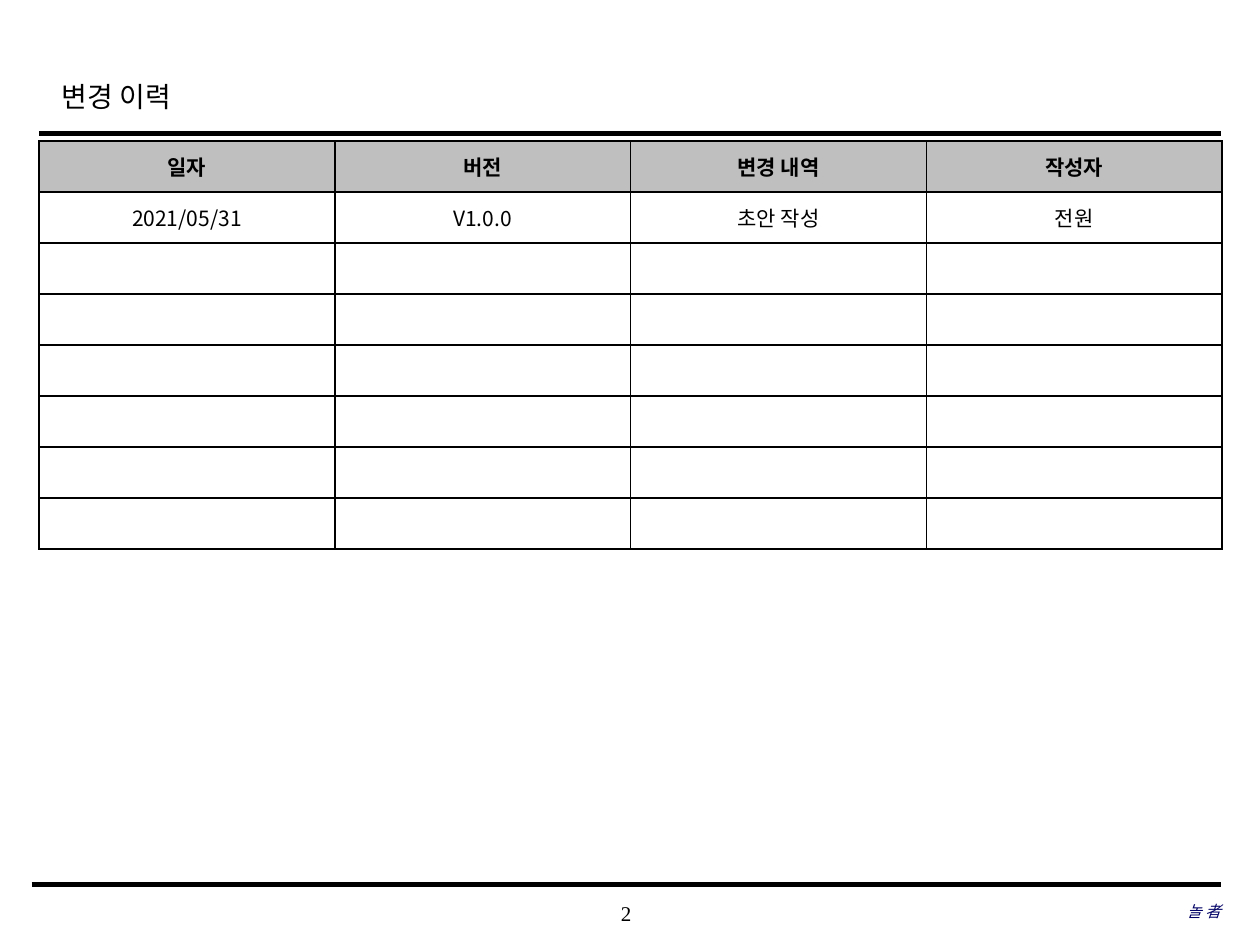
"""Build the change history slide."""
import pptx
import pptx.util
import pptx.dml.color
import pptx.enum.shapes
import pptx.enum.text
import pptx.oxml.ns
from lxml import etree

Inches = pptx.util.Inches
Pt = pptx.util.Pt
Align = pptx.enum.text.PP_ALIGN
Anchor = pptx.enum.text.MSO_ANCHOR
qn = pptx.oxml.ns.qn

SERIF, SANS = "Times New Roman", "Noto Sans CJK KR"
TITLE = "변경 이력"
HEAD = ["일자", "버전", "변경 내역", "작성자"]
ROWS = [["2021/05/31", "V1.0.0", "초안 작성", "전원"]] + [[""] * 4] * 6
GRID = (0.31, 1.12, 9.39, 3.24)
RULES = [(0.31, 1.06, 2.5), (0.25, 7.02, 3)]
RIGHT = 9.69
NOTES = [
    ("2", (3.93, 7.08, 2.08, 0.33), dict(size=12, align=Align.CENTER)),
    ("놀 者", (6.63, 7.07, 3.06, 0.33),
     dict(size=9, align=Align.RIGHT, color="000066", italic=True)),
]


def tint(text):
    return pptx.dml.color.RGBColor.from_string(text)


def write(frame, text, size=12, font=SERIF, color="000000", bold=False,
          italic=False, align=Align.LEFT, space=None):
    para = frame.paragraphs[0]
    para.alignment = align
    if space:
        para.line_spacing = space
    run = para.add_run()
    run.text = text
    face = run.font
    face.size, face.name, face.bold, face.italic = Pt(size), font, bold, italic
    face.color.rgb = tint(color)
    etree.SubElement(run._r.get_or_add_rPr(), qn("a:ea"), typeface=SANS)


def add_rule(slide, left, top, width):
    line = slide.shapes.add_connector(
        pptx.enum.shapes.MSO_CONNECTOR.STRAIGHT,
        Inches(left), Inches(top), Inches(RIGHT), Inches(top))
    line.line.color.rgb = tint("000000")
    line.line.width = Pt(width)
    etree.SubElement(line._element.spPr, qn("a:effectLst"))


def add_edges(cell):
    props = cell._tc.get_or_add_tcPr()
    for spot, side in enumerate(("lnL", "lnR", "lnT", "lnB")):
        edge = etree.Element(qn("a:" + side), w=str(Pt(1)))
        fill = etree.SubElement(edge, qn("a:solidFill"))
        etree.SubElement(fill, qn("a:srgbClr"), val="000000")
        props.insert(spot, edge)


def add_grid(slide):
    rows = [HEAD] + ROWS
    table = slide.shapes.add_table(
        len(rows), len(HEAD), *map(Inches, GRID)).table
    for i, row in enumerate(rows):
        for j, text in enumerate(row):
            cell = table.cell(i, j)
            cell.fill.solid()
            cell.fill.fore_color.rgb = tint("FFFFFF" if i else "BFBFBF")
            cell.vertical_anchor = Anchor.MIDDLE
            add_edges(cell)
            if text:
                write(cell.text_frame, text, font=SANS, bold=i == 0,
                      align=Align.CENTER)


def add_note(slide, text, box, style):
    frame = slide.shapes.add_textbox(*map(Inches, box)).text_frame
    frame.word_wrap = True
    frame.vertical_anchor = Anchor.MIDDLE
    frame.margin_left = frame.margin_right = 0
    frame.margin_top = frame.margin_bottom = 0
    write(frame, text, **style)


def main():
    deck = pptx.Presentation()
    deck.slide_width, deck.slide_height = Inches(10), Inches(7.5)
    slide = deck.slides.add_slide(deck.slide_layouts[5])
    title = slide.shapes.title
    title.left, title.top = Inches(0.39), Inches(0.49)
    title.width, title.height = Inches(7.55), Inches(0.5)
    title.text_frame.vertical_anchor = Anchor.MIDDLE
    write(title.text_frame, TITLE, size=16, space=1.2)
    for rule in RULES:
        add_rule(slide, *rule)
    for note in NOTES:
        add_note(slide, *note)
    add_grid(slide)
    deck.save("out.pptx")


if __name__ == "__main__":
    main()
